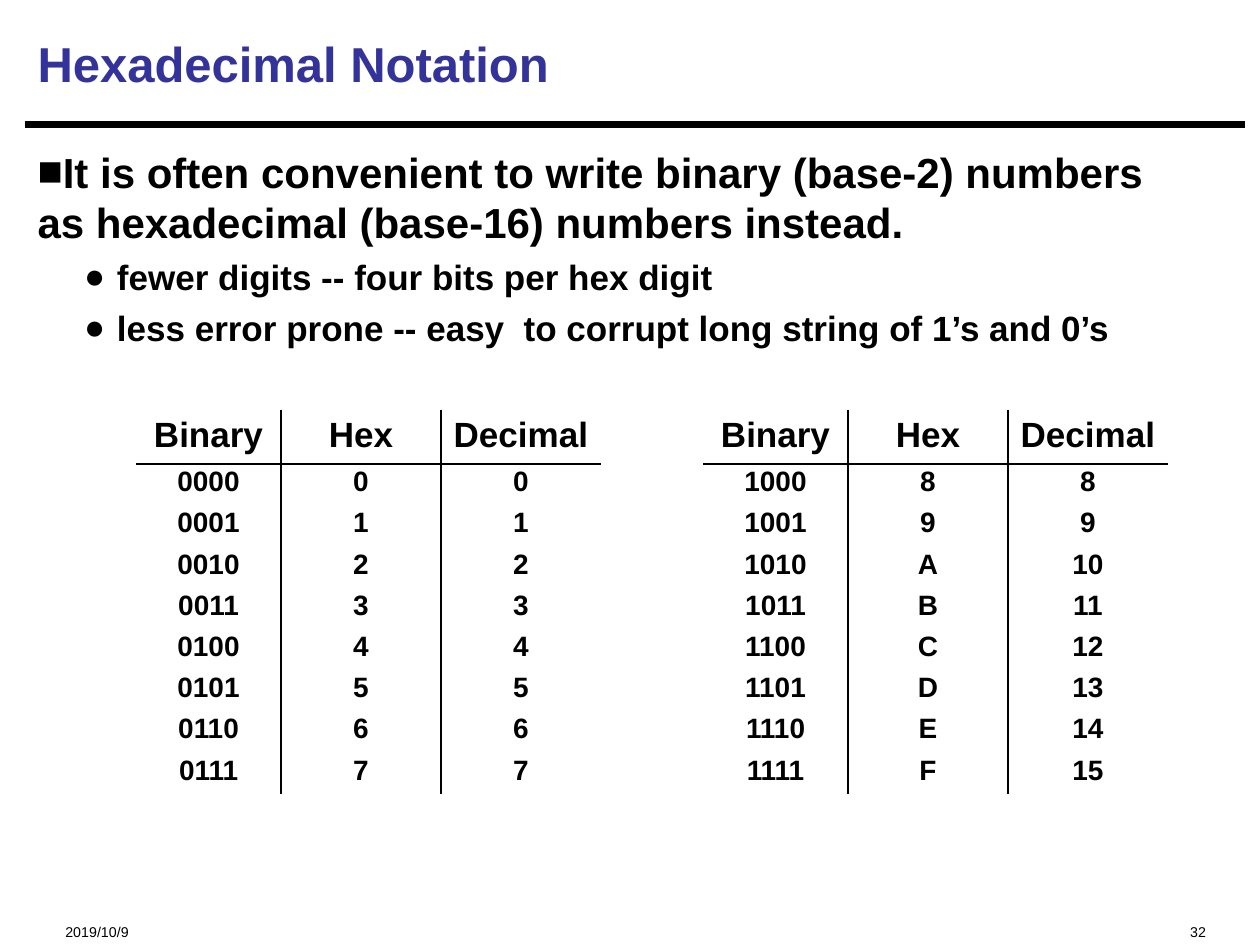
from pptx import Presentation
from pptx.dml.color import RGBColor
from pptx.enum.shapes import MSO_CONNECTOR
from pptx.enum.text import MSO_ANCHOR as Anchor, PP_ALIGN as Align
from pptx.oxml.ns import qn
from pptx.util import Inches, Pt
from lxml.etree import SubElement

COLORS = {"title": "333399", "ink": "000000"}
FONT = "Arial"
HEADINGS = ["Binary", "Hex", "Decimal"]
COLUMN_WIDTHS = [1.15, 1.27, 1.27]
TABLE_HEIGHT, HEADING_HEIGHT = Inches(3.05), Inches(0.43)
POINTS = [
    ("It is often convenient to write binary (base-2) numbers\v"
     "as hexadecimal (base-16) numbers instead.", 0),
    ("fewer digits -- four bits per hex digit", 1),
    ("less error prone -- easy  to corrupt long string of 1’s and 0’s", 1),
]


def style(paragraph, size, color="ink", bold=True):
    font = paragraph.font
    font.name, font.size, font.bold = FONT, Pt(size), bold
    font.color.rgb = RGBColor.from_string(COLORS[color])


def add_frame(slide, left, top, width, height):
    frame = slide.shapes.add_textbox(
        Inches(left), Inches(top), Inches(width), Inches(height)).text_frame
    frame.word_wrap = True
    return frame


def add_title(slide, text):
    frame = add_frame(slide, 0.2, 0.08, 9.67, 0.84)
    frame.vertical_anchor = Anchor.MIDDLE
    heading = frame.paragraphs[0]
    heading.text = text
    style(heading, 28, "title")


def add_rule(slide):
    rule = slide.shapes.add_connector(
        MSO_CONNECTOR.STRAIGHT, Inches(0.2), Inches(0.99), Inches(9.88), Inches(0.99))
    rule.line.width = Pt(3.75)
    rule.line.color.rgb = RGBColor.from_string(COLORS["ink"])
    SubElement(rule._element.spPr, qn("a:effectLst"))


def add_bullet(paragraph, mark, margin, indent):
    properties = paragraph._p.get_or_add_pPr()
    properties.set("marL", str(Inches(margin)))
    properties.set("indent", str(Inches(indent)))
    SubElement(properties, qn("a:buFont"), typeface=FONT)
    SubElement(properties, qn("a:buChar"), char=mark)


def add_points(slide):
    frame = add_frame(slide, 0.2, 1.07, 9.67, 5.99)
    frame.margin_top = Inches(0.09)
    for index, (text, level) in enumerate(POINTS):
        point = frame.add_paragraph() if index else frame.paragraphs[0]
        point.text = text
        point.level = level
        if index:
            point.space_before = Pt(5)
        if level:
            add_bullet(point, "●", 0.63, -0.26)
        else:
            add_bullet(point, "■", 0, 0)
        style(point, 20 if level else 24)


def add_footer(slide, text, left, width, align):
    note = add_frame(slide, left, 7.15, width, 0.27).paragraphs[0]
    note.text = text
    note.alignment = align
    style(note, 14, bold=False)
    note.runs[0].font._element.set("baseline", "-25000")


def set_borders(cell, visible):
    properties = cell._tc.get_or_add_tcPr()
    for side in "LRTB":
        line = SubElement(properties, qn(f"a:ln{side}"), w=str(Pt(1)))
        if side in visible:
            fill = SubElement(line, qn("a:solidFill"))
            SubElement(fill, qn("a:srgbClr"), val=COLORS["ink"])
        else:
            SubElement(line, qn("a:noFill"))


def fill_cell(cell, text, row, column):
    entry = cell.text_frame.paragraphs[0]
    entry.text = text
    entry.alignment = Align.CENTER
    if row:
        entry.line_spacing = 0.85
    style(entry, 16 if row else 20)
    last_column = len(HEADINGS) - 1
    visible = ("L" if column else "") + ("R" if column < last_column else "")
    visible += {0: "B", 1: "T"}.get(row, "")
    set_borders(cell, visible)
    cell.fill.background()


def add_number_table(slide, left, numbers):
    rows = [HEADINGS] + [[f"{n:04b}", f"{n:X}", str(n)] for n in numbers]
    table = slide.shapes.add_table(
        len(rows), len(HEADINGS), Inches(left), Inches(3.25),
        Inches(sum(COLUMN_WIDTHS)), TABLE_HEIGHT).table
    table.first_row = table.horz_banding = False
    for column, width in zip(table.columns, COLUMN_WIDTHS):
        column.width = Inches(width)
    for r, values in enumerate(rows):
        number_height = (TABLE_HEIGHT - HEADING_HEIGHT) // len(numbers)
        table.rows[r].height = number_height if r else HEADING_HEIGHT
        for c, value in enumerate(values):
            fill_cell(table.cell(r, c), value, r, c)


def main():
    deck = Presentation()
    deck.slide_width, deck.slide_height = Inches(10), Inches(7.5)
    slide = deck.slides.add_slide(deck.slide_layouts[6])
    add_rule(slide)
    add_footer(slide, "2019/10/9", 0.42, 2.5, Align.LEFT)
    add_footer(slide, "32", 6.67, 3, Align.RIGHT)
    add_title(slide, "Hexadecimal Notation")
    add_points(slide)
    add_number_table(slide, 1.08, range(8))
    add_number_table(slide, 5.58, range(8, 16))
    deck.save("out.pptx")


if __name__ == "__main__":
    main()
